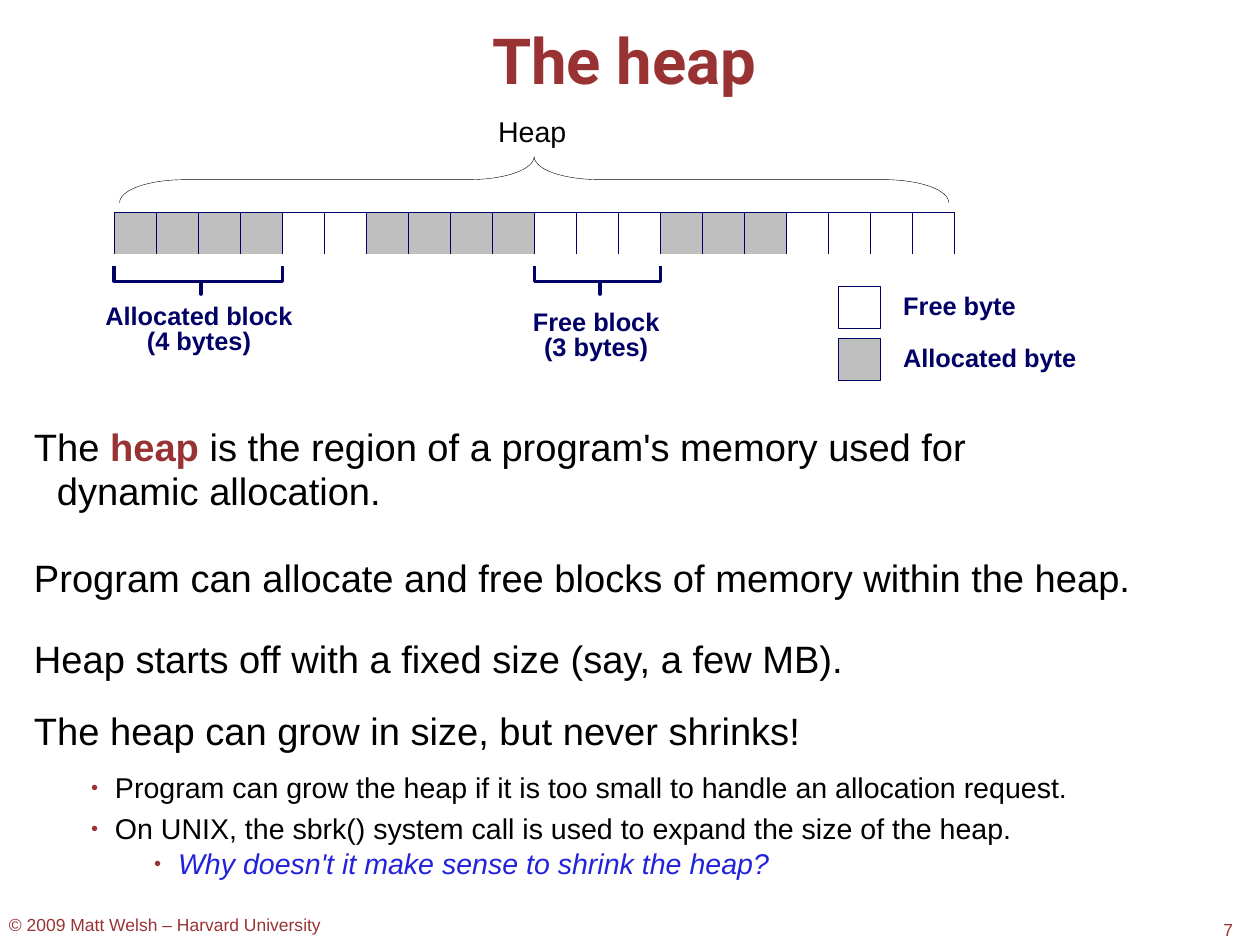
from lxml import etree
from pptx import Presentation
from pptx import util as u
from pptx.dml.color import RGBColor
from pptx.enum import shapes, text
from pptx.oxml.ns import qn

PX = 8007
NAVY = RGBColor(0x00, 0x00, 0x66)
RED = RGBColor(0x99, 0x33, 0x33)
BLUE = RGBColor(0x22, 0x22, 0xDB)
GRAY = RGBColor(0xBF, 0xBF, 0xBF)
BLACK = RGBColor(0, 0, 0)
HAIR = u.Pt(0.25)
BYTE = 42
HEAP_X, HEAP_Y = 114, 212
BLOCKS = [(4, True), (2, False), (4, True), (3, False), (3, True), (4, False)]

BRACKETS = [(0, 4, 201), (10, 3, 600)]
LEGEND = [("Free byte", 286, False), ("Allocated byte", 338, True)]

LEFT, CENTER = text.PP_ALIGN.LEFT, text.PP_ALIGN.CENTER
LABELS = [
    ("The heap", 492, 22, 266, 64, "Roboto", 40, RED, True, LEFT, 47.6),
    ("Heap", 498, 114, 71, 29, "Arial", 18, BLACK, False, LEFT, 21.4),
    ("Allocated block\n(4 bytes)", 104, 305, 190, 54, "Arial", 16, NAVY, True, CENTER, 15.9),
    ("Free block\n(3 bytes)", 531, 311, 130, 54, "Arial", 16, NAVY, True, CENTER, 15.9),
    ("© 2009 Matt Welsh – Harvard University", 9, 913, 315, 21, "Arial", 11, RED, False, LEFT, None),
    ("7", 1223, 918, 20, 21, "Arial", 11, RED, False, LEFT, None),
]

BODY = [
    (["The ", "heap", " is the region of a program's memory used for", "\n", "dynamic allocation."],
     24, 23, -23, 0, False),
    (["Program can allocate and free blocks of memory within the heap."], 24, 0, 0, 27, False),
    (["Heap starts off with a fixed size (say, a few MB)."], 24, 0, 0, 23.5, False),
    (["The heap can grow in size, but never shrinks!"], 24, 0, 0, 17.8, False),
    (["Program can grow the heap if it is too small to handle an allocation request."],
     18, 81, -24, 11.4, True),
    (["On UNIX, the sbrk() system call is used to expand the size of the heap."],
     18, 81, -24, 5.1, True),
    (["Why doesn't it make sense to shrink the heap?"], 18, 144, -24, 1.4, True),
]


def box(s, x, y, w, h, wrap=False):
    tf = s.shapes.add_textbox(x * PX, y * PX, w * PX, h * PX).text_frame
    tf.margin_left = tf.margin_right = tf.margin_top = tf.margin_bottom = 0
    tf.word_wrap = wrap
    return tf


def style(font, name, size, color, bold=False):
    font.name, font.size, font.bold = name, u.Pt(size), bold
    font.color.rgb = color


def label(s, words, x, y, w, h, name, size, color, bold, align, leading):
    tf = box(s, x, y, w, h)
    tf.text = words
    for p in tf.paragraphs:
        p.alignment = align
        if leading:
            p.line_spacing = u.Pt(leading)
        style(p.runs[0].font, name, size, color, bold)


def outline(sp, color, width):
    sp.shadow.inherit = False
    sp.fill.background()
    sp.line.color.rgb = color
    sp.line.width = width


def borders(cell):
    tcPr = cell._tc.get_or_add_tcPr()
    for side in "LRTB":
        ln = etree.SubElement(tcPr, qn("a:ln" + side), w=str(HAIR))
        if side == "B":
            etree.SubElement(ln, qn("a:noFill"))
        else:
            fill = etree.SubElement(ln, qn("a:solidFill"))
            etree.SubElement(fill, qn("a:srgbClr"), val=str(NAVY))


def paint(fill, used):
    if used:
        fill.solid()
        fill.fore_color.rgb = GRAY
    else:
        fill.background()


def heap_bytes(s):
    used = [flag for count, flag in BLOCKS for _ in range(count)]
    table = s.shapes.add_table(1, len(used), HEAP_X * PX, HEAP_Y * PX,
                               len(used) * BYTE * PX, BYTE * PX).table
    table.first_row = table.horz_banding = False
    for i, flag in enumerate(used):
        table.columns[i].width = BYTE * PX
        cell = table.cell(0, i)
        cell.margin_left = cell.margin_right = cell.margin_top = cell.margin_bottom = 0
        borders(cell)
        paint(cell.fill, flag)


def heap_brace(s):
    w, h, cx, cy = 46, 829, 534, 179
    sp = s.shapes.add_shape(shapes.MSO_SHAPE.LEFT_BRACE, (cx - w // 2) * PX,
                            (cy - h // 2) * PX, w * PX, h * PX)
    sp.rotation = 90
    sp.adjustments[0] = 1.41
    outline(sp, BLACK, HAIR)


def bracket(s, first, count, stem):
    top, bar, tip = 266, 281, 294
    left = HEAP_X + first * BYTE
    right = left + count * BYTE
    fb = s.shapes.build_freeform(left, top, scale=PX)
    fb.add_line_segments([(left, bar), (stem, bar), (stem, tip), (stem, bar),
                          (right, bar), (right, top)], close=False)
    outline(fb.convert_to_shape(), NAVY, u.Pt(2))


def legend(s, words, y, used):
    sp = s.shapes.add_shape(shapes.MSO_SHAPE.RECTANGLE, 838 * PX, y * PX, BYTE * PX, BYTE * PX)
    outline(sp, NAVY, HAIR)
    paint(sp.fill, used)
    label(s, words, 903, y + 4, 180, 29, "Arial", 16, NAVY, True, LEFT, None)


def bullet(pPr):
    color = etree.SubElement(pPr, qn("a:buClr"))
    etree.SubElement(color, qn("a:srgbClr"), val=str(RED))
    etree.SubElement(pPr, qn("a:buSzPct"), val="44000")
    etree.SubElement(pPr, qn("a:buFont"), typeface="Arial")
    etree.SubElement(pPr, qn("a:buChar"), char="●")


def body(s):
    tf = box(s, 34, 425, 1150, 460, True)
    for i, (parts, size, margin, indent, before, dotted) in enumerate(BODY):
        p = tf.add_paragraph() if i else tf.paragraphs[0]
        p.line_spacing = u.Pt(size * 1.15)
        p.space_before = u.Pt(before)
        pPr = p._p.get_or_add_pPr()
        pPr.set("marL", str(margin * PX))
        pPr.set("indent", str(indent * PX))
        if dotted:
            bullet(pPr)
        for part in parts:
            if part == "\n":
                p.add_line_break()
                continue
            r = p.add_run()
            r.text = part
            key = part == "heap"
            style(r.font, "Arial", size, RED if key else BLACK, key)
    r.font.italic = True
    r.font.color.rgb = BLUE


def main():
    prs = Presentation()
    prs.slide_width, prs.slide_height = u.Inches(11.03), u.Inches(8.26)
    s = prs.slides.add_slide(prs.slide_layouts[6])
    for item in LABELS:
        label(s, *item)
    heap_brace(s)
    heap_bytes(s)
    for item in BRACKETS:
        bracket(s, *item)
    for item in LEGEND:
        legend(s, *item)
    body(s)
    prs.save("out.pptx")


if __name__ == "__main__":
    main()
